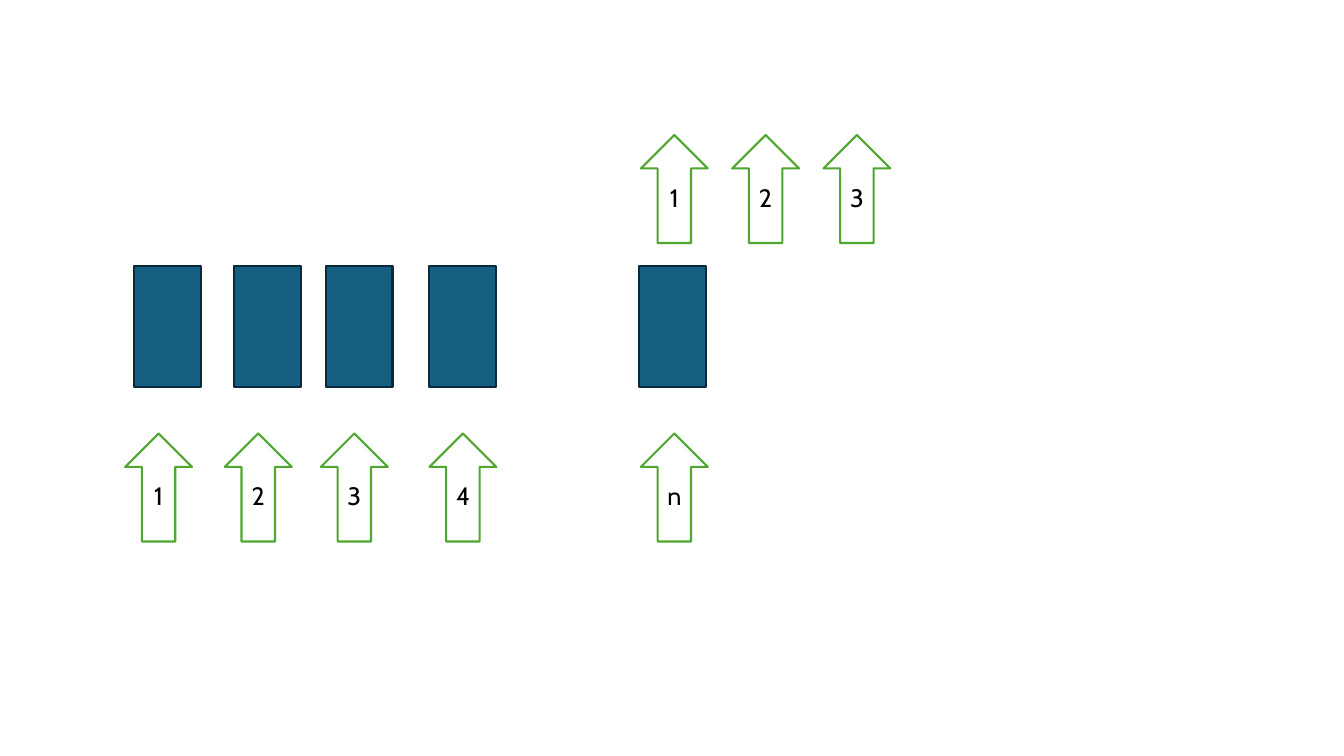
from pptx import Presentation
from pptx.dml.color import RGBColor as RGB
from pptx.enum.shapes import MSO_SHAPE as Shape
from pptx.enum.text import MSO_ANCHOR as Anchor, PP_ALIGN as Align
from pptx.util import Pt

COLORS = {"block": "156082", "edge": "092A39", "arrow": "4EA72E",
          "white": "FFFFFF", "black": "000000"}
WIDTH = 47.8

deck = Presentation()
deck.slide_width, deck.slide_height = Pt(960), Pt(540)
slide = deck.slides.add_slide(deck.slide_layouts[6])


def add_box(kind, left, top, height, fill, line):
    box = slide.shapes.add_shape(kind, Pt(left), Pt(top), Pt(WIDTH), Pt(height))
    box.shadow.inherit = False
    box.fill.solid()
    box.fill.fore_color.rgb = RGB.from_string(COLORS[fill])
    box.line.color.rgb = RGB.from_string(COLORS[line])
    box.line.width = Pt(1.5)
    return box


def add_text(box, text, size=18, font="Cabin", color="black"):
    box.text_frame.vertical_anchor = Anchor.MIDDLE
    para = box.text_frame.paragraphs[0]
    para.alignment = Align.CENTER
    run = para.add_run()
    run.text = text
    run.font.size = Pt(size)
    run.font.name = font
    run.font.color.rgb = RGB.from_string(COLORS[color])


# Row of blocks
for left in (95.8, 167, 232.6, 306.7, 456.5):
    add_box(Shape.RECTANGLE, left, 190.1, 86.6, "block", "edge")

# Arrows below the blocks, then evenly spaced arrows above the last one
below = zip("1234n", (89.4, 160.6, 229.2, 306.8, 457.8))
above = [(label, 457.8 + 65.2 * i) for i, label in enumerate("123")]
for top, row in ((309.6, below), (96.4, above)):
    for label, left in row:
        arrow = add_box(Shape.UP_ARROW, left, top, 77.2, "white", "arrow")
        add_text(arrow, label)

deck.save("out.pptx")
